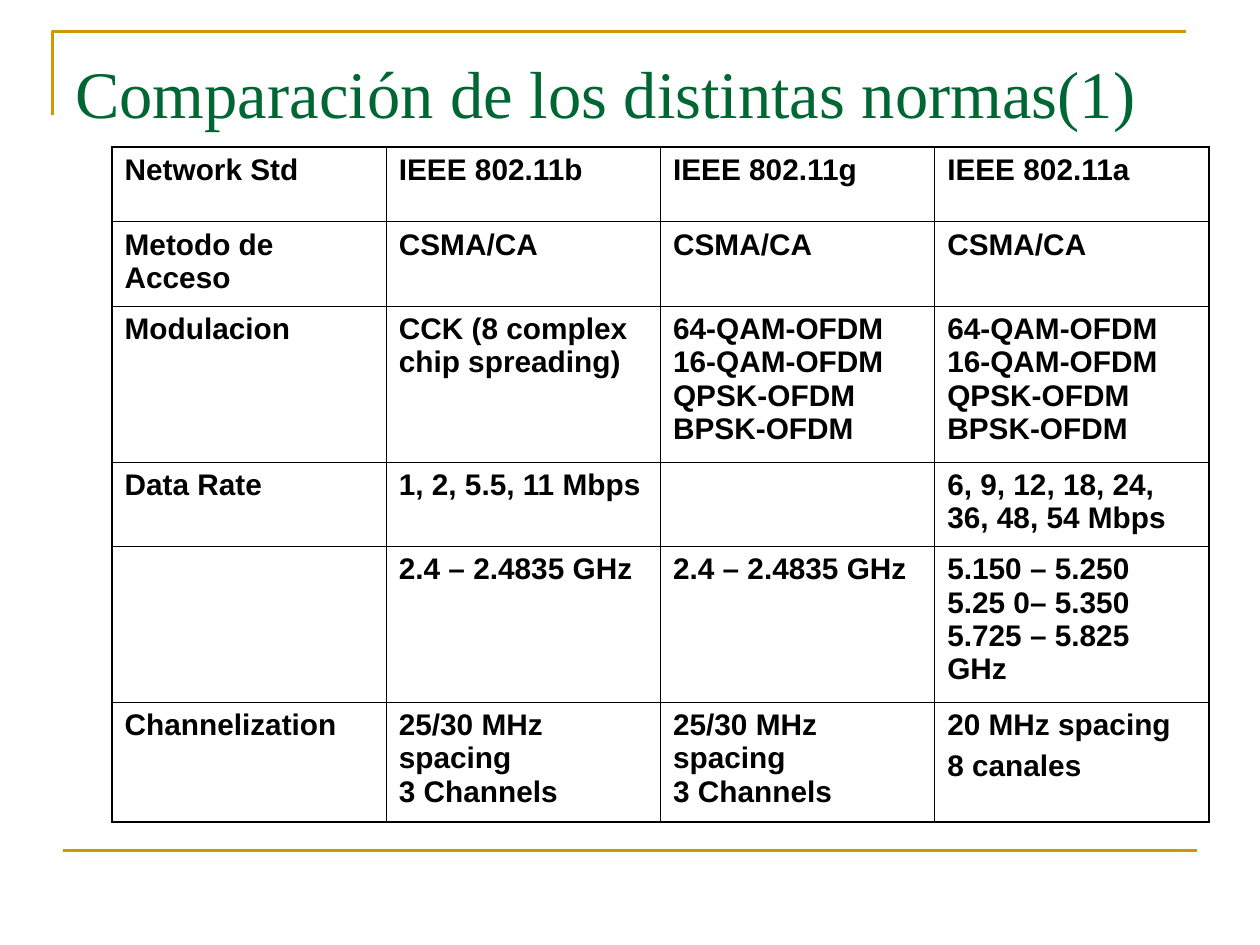
"""Build a slide with a table comparing the IEEE 802.11 b, g and a standards."""
from lxml.etree import SubElement
from pptx import Presentation
from pptx.dml.color import RGBColor
from pptx.enum.shapes import MSO_CONNECTOR as Connector
from pptx.oxml.ns import qn
from pptx.util import Pt

COLORS = {"title": "006633", "rule": "CC9900", "text": "000000", "border": "000000"}
THIN, THICK = 0.45, 1.08
COLUMN_WIDTH = 156.7
ROW_HEIGHTS = [42.5, 48.2, 89.1, 48.2, 89.1, 68.6]
MODULATIONS = "64-QAM-OFDM\n16-QAM-OFDM\nQPSK-OFDM\nBPSK-OFDM"
CHANNELS = "25/30 MHz spacing\n3 Channels"
ROWS = [
    ["Network Std", "IEEE 802.11b", "IEEE 802.11g", "IEEE 802.11a"],
    ["Metodo de Acceso", "CSMA/CA", "CSMA/CA", "CSMA/CA"],
    ["Modulacion", "CCK (8 complex chip spreading)", MODULATIONS, MODULATIONS],
    ["Data Rate", "1, 2, 5.5, 11 Mbps", "", "6, 9, 12, 18, 24, 36, 48, 54 Mbps"],
    ["", "2.4 – 2.4835 GHz", "2.4 – 2.4835 GHz",
     "5.150 – 5.250\n5.25 0– 5.350\n5.725 – 5.825 GHz"],
    ["Channelization", CHANNELS, CHANNELS, "20 MHz spacing\n8 canales"],
]
SPACED_CELL = (5, 3)


def write_text(frame, text, *, font, size, color, bold=False, space_before=0):
    frame.word_wrap = True
    frame.text = text
    for paragraph in frame.paragraphs:
        paragraph.space_before = Pt(space_before)
        for run in paragraph.runs:
            run.font.name = font
            run.font.size = Pt(size)
            run.font.bold = bold
            run.font.color.rgb = RGBColor.from_string(COLORS[color])


def add_border(cell, side, width):
    line = SubElement(cell._tc.get_or_add_tcPr(), qn(f"a:ln{side}"), w=str(Pt(width)))
    fill = SubElement(line, qn("a:solidFill"))
    SubElement(fill, qn("a:srgbClr"), val=COLORS["border"])


presentation = Presentation()
presentation.slide_width, presentation.slide_height = Pt(720), Pt(540)
slide = presentation.slides.add_slide(presentation.slide_layouts[6])

builder = slide.shapes.build_freeform(Pt(30), Pt(66))
builder.add_line_segments([(Pt(30), Pt(18)), (Pt(678), Pt(18))], close=False)
corner_rule = builder.convert_to_shape()
corner_rule.fill.background()
corner_rule.shadow.inherit = False

bottom_rule = slide.shapes.add_connector(
    Connector.STRAIGHT, Pt(36), Pt(486), Pt(684), Pt(486))
SubElement(bottom_rule._element.spPr, qn("a:effectLst"))

for rule in (corner_rule, bottom_rule):
    rule.line.color.rgb = RGBColor.from_string(COLORS["rule"])
    rule.line.width = Pt(1.5)

title = slide.shapes.add_textbox(Pt(36), Pt(21.6), Pt(648), Pt(90))
title.text_frame.margin_top = Pt(8)
write_text(title.text_frame, "Comparación de los distintas normas(1)",
           font="Times New Roman", size=38, color="title")

last_row, last_column = len(ROWS) - 1, len(ROWS[0]) - 1
table = slide.shapes.add_table(
    len(ROWS), len(ROWS[0]), Pt(64), Pt(84.2),
    Pt(COLUMN_WIDTH * len(ROWS[0])), Pt(sum(ROW_HEIGHTS))).table
table.first_row = table.horz_banding = False
for column in table.columns:
    column.width = Pt(COLUMN_WIDTH)

for row_index, (height, texts) in enumerate(zip(ROW_HEIGHTS, ROWS)):
    table.rows[row_index].height = Pt(height)
    for column_index, text in enumerate(texts):
        cell = table.cell(row_index, column_index)
        outer_sides = {
            "L": column_index == 0,
            "R": column_index == last_column,
            "T": row_index == 0,
            "B": row_index == last_row,
        }
        for side, is_outer in outer_sides.items():
            add_border(cell, side, THICK if is_outer else THIN)
        cell.fill.background()
        is_spaced = "\n" not in text or (row_index, column_index) == SPACED_CELL
        write_text(cell.text_frame, text, font="Arial", size=17, color="text",
                   bold=True, space_before=4.2 if is_spaced else 0)

presentation.save("out.pptx")
